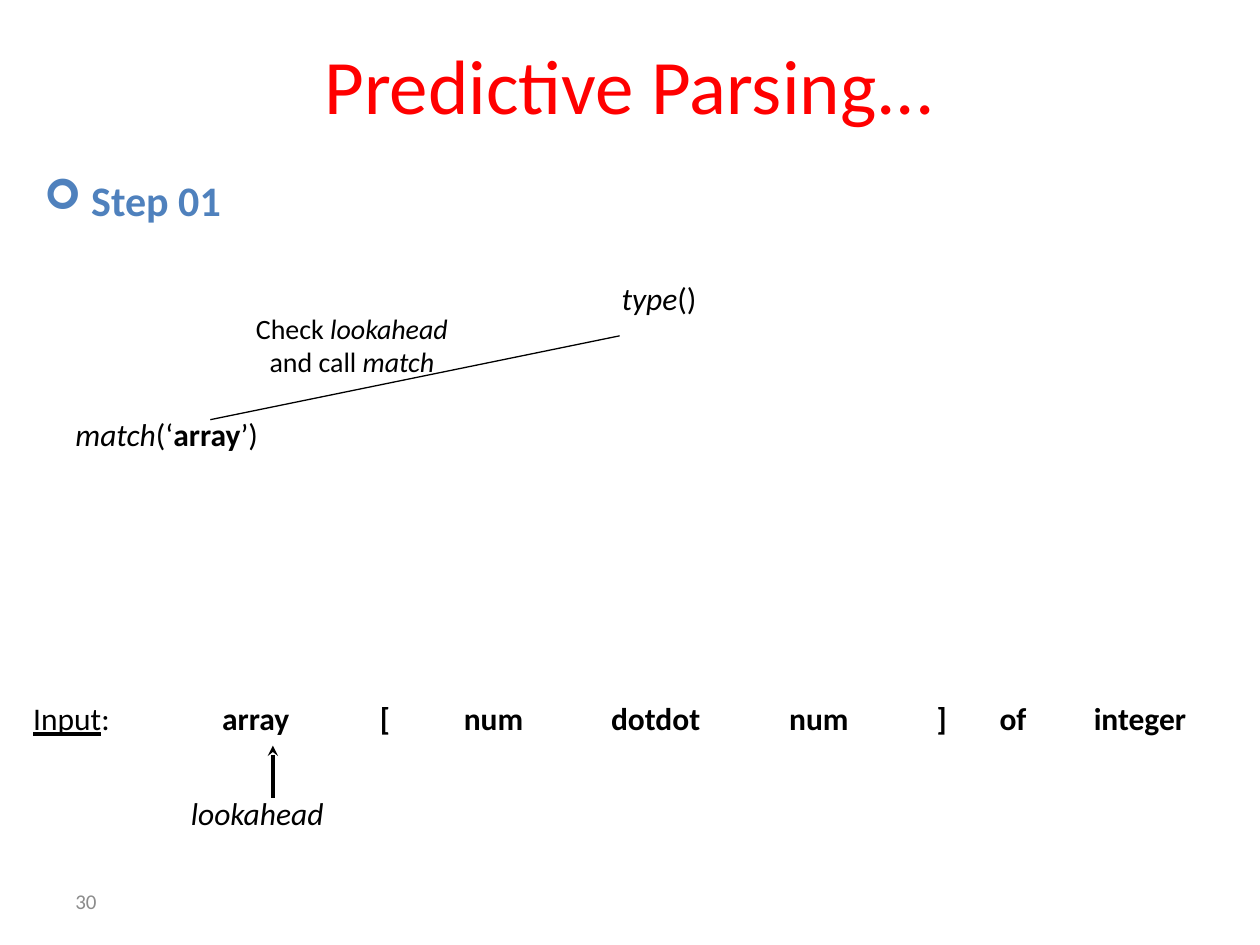
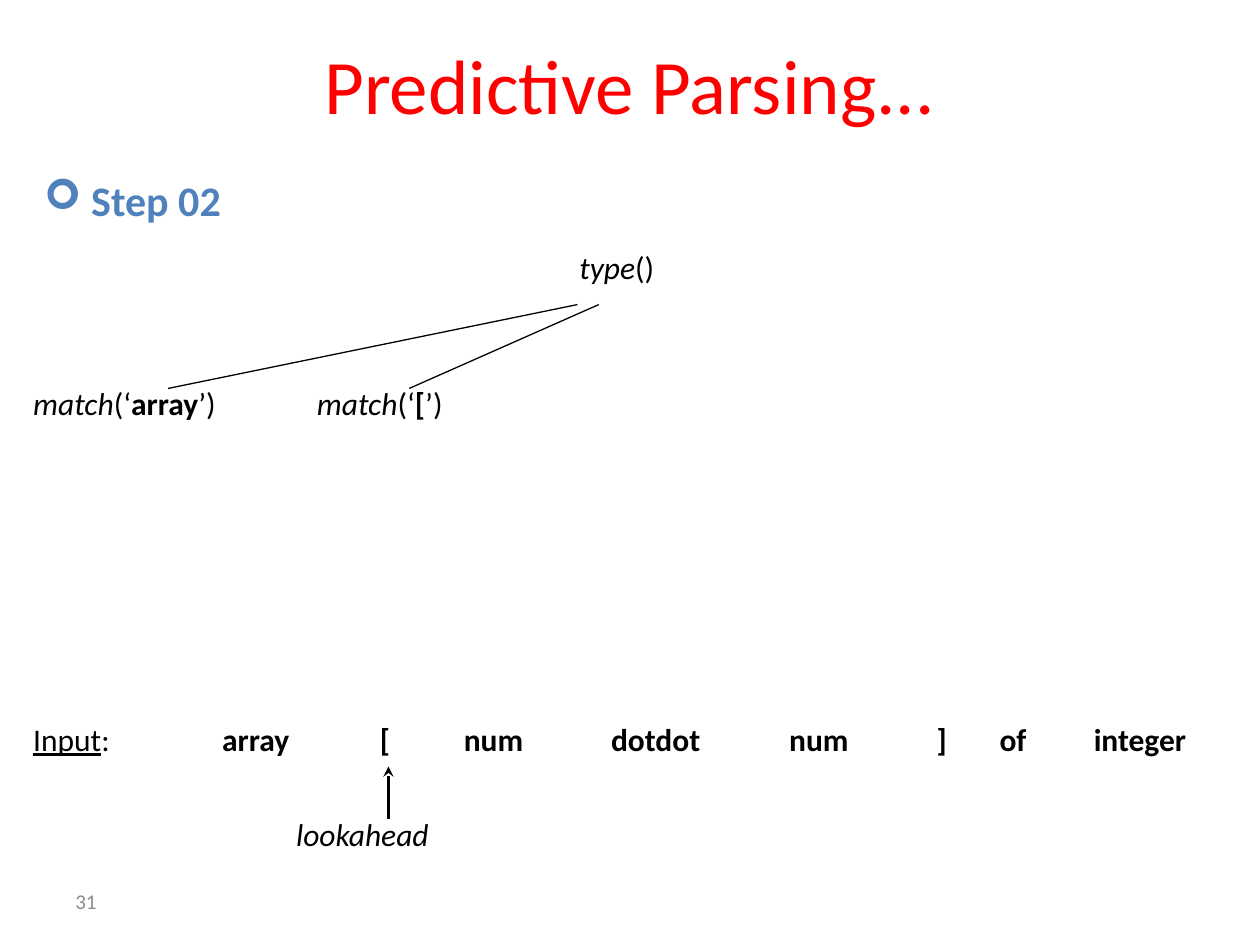
from lxml.etree import SubElement
from pptx import Presentation
from pptx.dml.color import RGBColor
from pptx.enum.shapes import MSO_CONNECTOR
from pptx.enum.text import MSO_ANCHOR, PP_ALIGN
from pptx.oxml.ns import qn
from pptx.util import Cm, Pt

FONT = "Calibri"
RED, BLUE, BLACK, GREY = "FF0000", "4F81BD", "000000", "8C8C8C"
LABEL_HEIGHT = 1.27

# Text runs are (text, style), where style holds the letters b, i and u.
TITLE = "Predictive Parsing..."
ROOT = [("type", "i"), ("()", "")]
NOTE = [[("Check ", ""), ("lookahead", "i")], [("and call ", ""), ("match", "i")]]

# Input strip: runs, left, width
INPUT_STRIP = [
    ([("Input", "u"), (":", "")], 0.42, 2.54),
    ([("array", "b")], 4.23, 2.54),
    ([("[", "b")], 7.41, 0.79),
    ([("num", "b")], 9.1, 2.16),
    ([("dotdot", "b")], 12.07, 2.87),
    ([("num", "b")], 15.66, 2.16),
    ([("]", "b")], 18.63, 0.79),
    ([("of", "b")], 19.9, 1.22),
    ([("integer", "b")], 21.8, 3.05),
]

# Calls below the root: token, label offset, label width, branch start and end;
# horizontal offsets count from the left of the root label.
CALLS = [
    ("array", -11.01, 5.74, 0.21, -8.04),
    ("[", -5.29, 3.99, 0.64, -3.18),
]
CALL_DROP, BRANCH_TOP, BRANCH_BOTTOM = 2.75, 1.27, 2.96

STEPS = [
    {"heading": "Step 01", "number": "30", "root": (12.28, 5.5), "calls": 1,
     "strip_top": 13.97, "lookahead_left": 3.6, "arrow_x": 5.5,
     "note_box": (4.87, 6.15, 4.45, 1.63)},
    {"heading": "Step 02", "number": "31", "root": (11.43, 4.87), "calls": 2,
     "strip_top": 14.39, "lookahead_left": 5.72, "arrow_x": 7.83},
]


def rgb(color):
    return RGBColor.from_string(color)


def add_text(slide, box, lines, size=18, color=BLACK,
             align=PP_ALIGN.LEFT, anchor=MSO_ANCHOR.TOP):
    """Add a text box; each line is a list of (text, style) runs."""
    shape = slide.shapes.add_textbox(*map(Cm, box))
    frame = shape.text_frame
    frame.word_wrap = True
    frame.vertical_anchor = anchor
    for index, runs in enumerate(lines):
        paragraph = frame.add_paragraph() if index else frame.paragraphs[0]
        paragraph.alignment = align
        for text, style in runs:
            run = paragraph.add_run()
            run.text = text
            font = run.font
            font.name, font.size = FONT, Pt(size)
            font.color.rgb = rgb(color)
            font.bold, font.italic = "b" in style, "i" in style
            font.underline = "u" in style
    return shape


def add_line(slide, start, end, width=0.75, arrow_at_start=False):
    line = slide.shapes.add_connector(
        MSO_CONNECTOR.STRAIGHT, *map(Cm, (*start, *end)))
    line.line.color.rgb = rgb(BLACK)
    line.line.width = Pt(width)
    if arrow_at_start:
        SubElement(line.line._get_or_add_ln(), qn("a:headEnd"), type="stealth")
    SubElement(line._element.spPr, qn("a:effectLst"))


def add_bullet(paragraph, character, indent):
    properties = paragraph._p.get_or_add_pPr()
    properties.set("marL", str(Cm(indent)))
    properties.set("indent", str(-Cm(indent)))
    SubElement(properties, qn("a:buFont"), typeface="Wingdings")
    SubElement(properties, qn("a:buChar"), char=character)


def add_frame(slide, heading, number):
    """Add the title, step heading and page number."""
    add_text(slide, (1.27, 0.42, 22.86, 2.54), [[(TITLE, "")]], 44, RED,
             PP_ALIGN.CENTER, MSO_ANCHOR.MIDDLE)
    body = add_text(slide, (0.64, 3.39, 24.13, 13.76), [[(heading, "b")]], 24, BLUE)
    add_bullet(body.text_frame.paragraphs[0], "➢", 0.95)
    add_text(slide, (1.27, 17.65, 5.93, 1.02), [[(number, "")]], 12, GREY,
             anchor=MSO_ANCHOR.MIDDLE)


def add_tree(slide, root, call_count):
    left, top = root
    add_text(slide, (left, top, 2.49, LABEL_HEIGHT), [ROOT])
    for token, offset, width, start, end in CALLS[:call_count]:
        runs = [("match", "i"), ("(‘", ""), (token, "b"), ("’)", "")]
        add_text(slide, (left + offset, top + CALL_DROP, width, LABEL_HEIGHT), [runs])
        add_line(slide, (left + start, top + BRANCH_TOP),
                 (left + end, top + BRANCH_BOTTOM))


def add_input(slide, top, lookahead_left, arrow_x):
    for runs, left, width in INPUT_STRIP:
        add_text(slide, (left, top, width, LABEL_HEIGHT), [runs])
    add_text(slide, (lookahead_left, top + 1.91, 4.04, LABEL_HEIGHT),
             [[("lookahead", "i")]])
    add_line(slide, (arrow_x, top + 1.06), (arrow_x, top + 2.12), 2, True)


def main():
    presentation = Presentation()
    presentation.slide_width, presentation.slide_height = Cm(25.4), Cm(19.05)
    for step in STEPS:
        slide = presentation.slides.add_slide(presentation.slide_layouts[6])
        add_frame(slide, step["heading"], step["number"])
        add_tree(slide, step["root"], step["calls"])
        add_input(slide, step["strip_top"], step["lookahead_left"], step["arrow_x"])
        if "note_box" in step:
            add_text(slide, step["note_box"], NOTE, 16, align=PP_ALIGN.CENTER)
    presentation.save("out.pptx")


if __name__ == "__main__":
    main()
